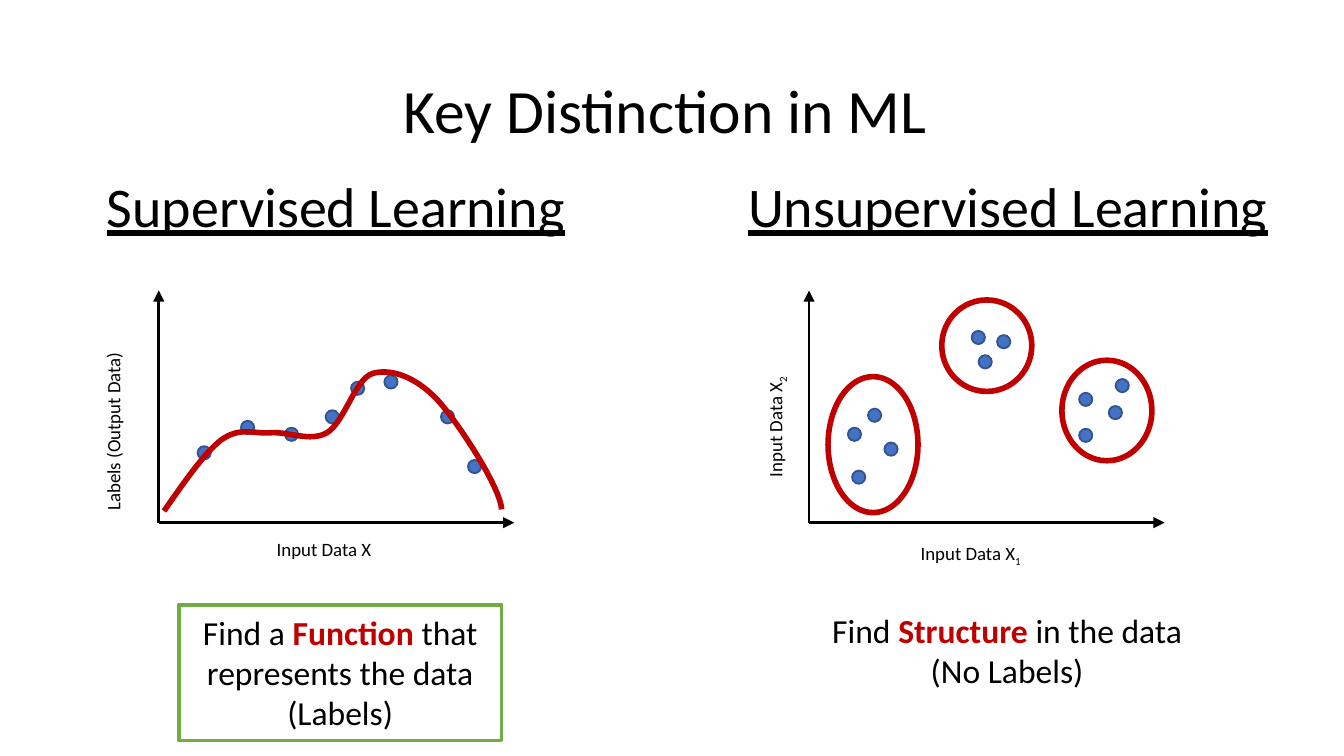
from dataclasses import dataclass
from lxml import etree
from pptx import Presentation, util as u
from pptx.dml import color as col
from pptx.enum import shapes as sh, text as tx
from pptx.oxml import ns


@dataclass(frozen=True)
class Theme:
    font: str = "Calibri"
    ink: str = "000000"
    red: str = "C00000"
    blue: str = "4472C4"
    navy: str = "325491"
    green: str = "70AD47"
    title: float = 33
    head: float = 30
    body: float = 18
    label: float = 10.1


T = Theme()
DOT = 0.25
WIDE, HIGH = 25.4, 14.29
HALF = WIDE / 2
PLOT = (6.72, 4.39)
TIGHT = dict(margin_left=u.Cm(0.18), margin_right=u.Cm(0.18),
             margin_top=u.Cm(0.1), margin_bottom=u.Cm(0.1),
             vertical_anchor=tx.MSO_ANCHOR.MIDDLE)
LOOSE = dict(margin_left=u.Cm(0.25), margin_right=u.Cm(0.25),
             margin_top=u.Cm(0.13), margin_bottom=u.Cm(0.13),
             vertical_anchor=tx.MSO_ANCHOR.TOP)
MID = dict(alignment=tx.PP_ALIGN.CENTER)
HEAD = dict(MID, line_spacing=0.9)
LEFT = dict(alignment=tx.PP_ALIGN.LEFT)
KEY = dict(color=T.red, bold=True)

# Each panel is described in cm; plot parts count from the plot's top left
LABELED = dict(
    head="Supervised Learning",
    plot=(3.0, 5.49),
    dots=[(0.86, 3.07), (2.51, 2.72), (1.68, 2.59), (4.39, 1.73),
          (3.28, 2.39), (5.46, 2.39), (5.97, 3.33), (3.76, 1.85)],
    labels=[((4.98, 10.03, 3.28, 0.69), 0, [("Input Data X", {})]),
            ((-0.28, 7.14, 4.83, 0.69), 270, [("Labels (Output Data)", {})])],
    note=(3.38, 11.43, 6.1, 2.57),
    edge=T.green,
    lines=[[("Find a ", {}), ("Function ", KEY),
            ("that represents the data (Labels)", {})]],
    curve=[(0.1, 4.17), (0.48, 3.63), (0.86, 3.07), (1.19, 2.82),
           (1.55, 2.57), (1.8, 2.72), (2.13, 2.69),
           (2.46, 2.67), (2.87, 2.87), (3.18, 2.69),
           (3.51, 2.49), (3.71, 1.68), (4.04, 1.57),
           (4.39, 1.47), (4.85, 1.63), (5.26, 2.06),
           (5.66, 2.49), (6.48, 3.76), (6.48, 4.14)],
    rings=[],
)
FREE = dict(
    head="Unsupervised Learning",
    plot=(2.59, 5.49),
    dots=[(0.94, 3.53), (1.55, 3.0), (0.86, 2.72), (5.23, 2.74),
          (1.24, 2.36), (5.79, 2.31), (5.23, 2.06), (5.92, 1.8),
          (3.33, 1.35), (3.2, 0.89), (3.68, 0.97)],
    labels=[((4.45, 10.11, 3.91, 0.69), 0,
             [("Input Data X", {}), ("1", dict(sub=True))]),
            ((0.41, 7.39, 3.07, 0.69), 270,
             [("Input Data X", {}), ("2", dict(sub=True))])],
    note=(2.26, 11.4, 8.15, 1.8),
    edge=None,
    lines=[[("Find ", {}), ("Structure ", KEY), ("in the data", {})],
           [("(No Labels)", {})]],
    curve=[],
    rings=[(0.36, 1.63, 1.7, 2.57), (2.51, 0.18, 1.7, 1.73),
           (4.78, 1.32, 1.7, 1.9)],
)


def apply(obj, form):
    for name, val in form.items():
        setattr(obj, name, val)


def cms(*vals):
    return [u.Cm(val) for val in vals]


def rgb(code):
    return col.RGBColor.from_string(code)


def write(shape, lines, size, para, frame):
    """Fill a shape with lines, each a list of (text, style) runs."""
    body = shape.text_frame
    apply(body, dict(frame, word_wrap=True, auto_size=tx.MSO_AUTO_SIZE.NONE))
    for i, runs in enumerate(lines):
        p = body.add_paragraph() if i else body.paragraphs[0]
        apply(p, para)
        for words, style in runs:
            style = dict(style)
            r = p.add_run()
            r.text = words
            r.font.color.rgb = rgb(style.pop("color", T.ink))
            if style.pop("sub", False):
                r._r.get_or_add_rPr().set("baseline", "-25000")
            apply(r.font, dict(name=T.font, size=u.Pt(size), **style))


def paint(shape, edge, width, fill=None):
    shape.shadow.inherit = False
    if fill:
        shape.fill.solid()
        shape.fill.fore_color.rgb = rgb(fill)
    else:
        shape.fill.background()
    shape.line.color.rgb = rgb(edge)
    shape.line.width = u.Pt(width)


def arrow(slide, start, end):
    line = slide.shapes.add_connector(sh.MSO_CONNECTOR.STRAIGHT,
                                      *cms(*start, *end))
    line.line.color.rgb = rgb(T.ink)
    line.line.width = u.Pt(1.5)
    etree.SubElement(line.line._get_or_add_ln(), ns.qn("a:tailEnd"),
                     type="triangle")
    etree.SubElement(line._element.spPr, ns.qn("a:effectLst"))


def oval(slide, box, *look):
    ring = slide.shapes.add_shape(sh.MSO_SHAPE.OVAL, *cms(*box))
    paint(ring, *look)


def trace(pts, steps=16):
    """Points along a chain of cubic curves."""
    path = [pts[0]]
    for i in range(0, len(pts) - 1, 3):
        for n in range(1, steps + 1):
            t = n / steps
            mix = ((1 - t) ** 3, 3 * t * (1 - t) ** 2,
                   3 * t * t * (1 - t), t ** 3)
            path.append(tuple(sum(m * p[k] for m, p in zip(mix, pts[i:i + 4]))
                              for k in (0, 1)))
    return path


def title(slide, box, words):
    head = slide.shapes.title
    apply(head, dict(zip(("left", "top", "width", "height"), cms(*box))))
    write(head, [[(words, {})]], T.title, HEAD, TIGHT)


def plot(slide, box, dots):
    x, y, w, h = box
    arrow(slide, (x, y + h), (x + w, y + h))
    arrow(slide, (x, y + h), (x, y))
    for dx, dy in dots:
        oval(slide, (x + dx - DOT / 2, y + dy - DOT / 2, DOT, DOT),
             T.navy, 1, T.blue)


def marks(slide, box, curve, rings):
    x, y = box[:2]
    if curve:
        pts = [cms(x + dx, y + dy) for dx, dy in trace(curve)]
        pen = slide.shapes.build_freeform(*pts[0], scale=1.0)
        pen.add_line_segments(pts[1:], close=False)
        paint(pen.convert_to_shape(), T.red, 3)
    for dx, dy, w, h in rings:
        oval(slide, (x + dx, y + dy, w, h), T.red, 3)


def panel(slide, box, data):
    x, y, w, h = box
    # Heading
    head = slide.shapes.add_textbox(*cms(x, y + 2.57, w, 2.77))
    write(head, [[(data["head"], dict(underline=True))]], T.head, HEAD, TIGHT)
    # Axes and data points
    dx, dy = data["plot"]
    area = (x + dx, y + dy, *PLOT)
    plot(slide, area, data["dots"])
    # Axis labels
    for (dx, dy, lw, lh), turn, runs in data["labels"]:
        label = slide.shapes.add_textbox(*cms(x + dx, y + dy, lw, lh))
        label.rotation = turn
        write(label, [runs], T.label, LEFT, LOOSE)
    # Caption, framed when it has an edge colour
    dx, dy, nw, nh = data["note"]
    spot = cms(x + dx, y + dy, nw, nh)
    if data["edge"]:
        note = slide.shapes.add_shape(sh.MSO_SHAPE.RECTANGLE, *spot)
        paint(note, data["edge"], 2)
    else:
        note = slide.shapes.add_textbox(*spot)
    write(note, data["lines"], T.body, MID, LOOSE)
    # Fitted curve or cluster rings
    marks(slide, area, data["curve"], data["rings"])


def main():
    deck = Presentation()
    deck.slide_width, deck.slide_height = cms(WIDE, HIGH)
    slide = deck.slides.add_slide(deck.slide_layouts[5])
    title(slide, (1.75, 0.76, 21.9, 2.77), "Key Distinction in ML ")
    for i, data in enumerate((LABELED, FREE)):
        panel(slide, (i * HALF, 0, HALF, HIGH), data)
    deck.save("out.pptx")


if __name__ == "__main__":
    main()
